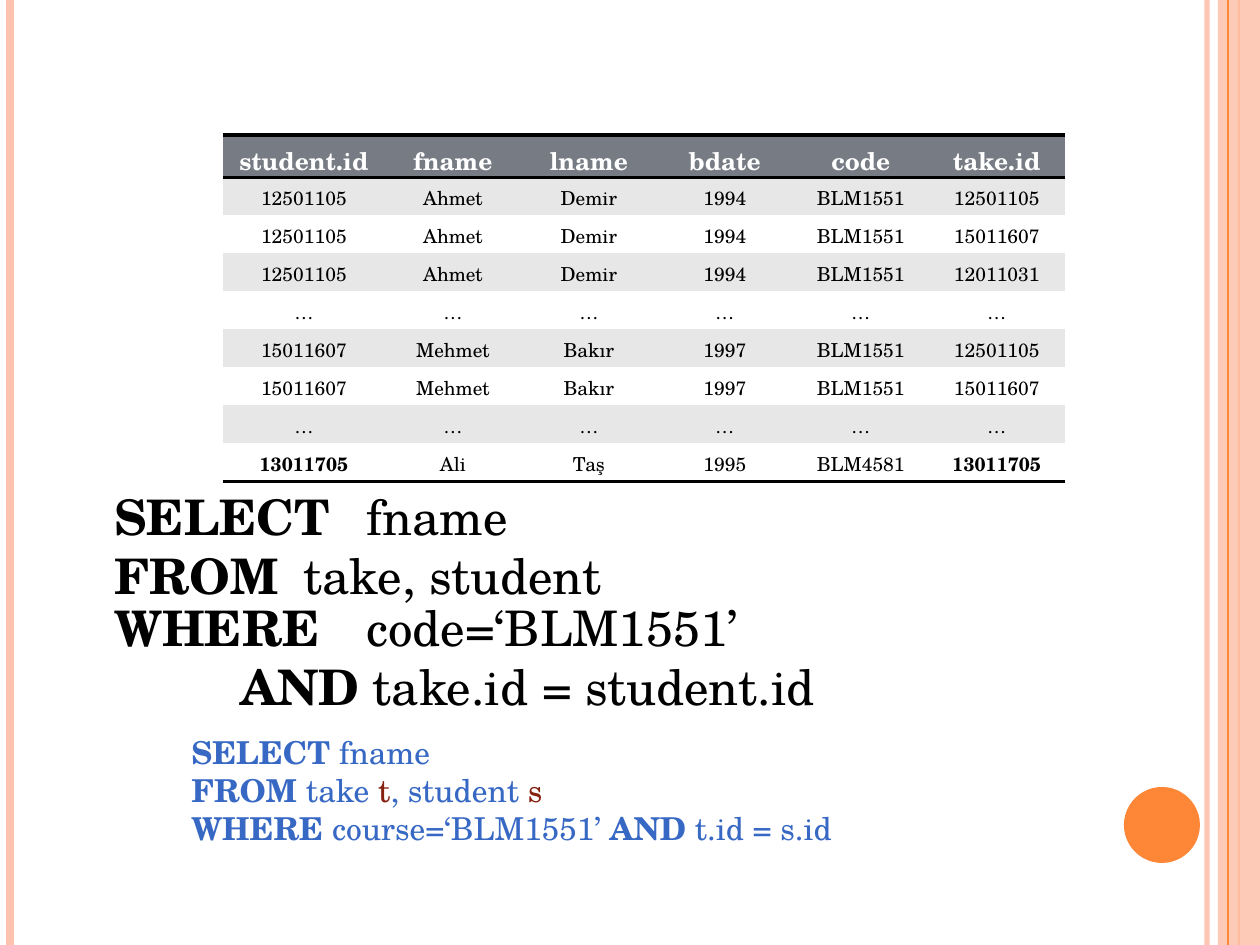
from lxml import etree
from pptx import Presentation
from pptx.dml.color import RGBColor
from pptx.enum.shapes import MSO_CONNECTOR, MSO_SHAPE
from pptx.enum.text import MSO_ANCHOR, MSO_AUTO_SIZE, PP_ALIGN
from pptx.oxml.ns import qn
from pptx.util import Emu, Pt

STRAIGHT = MSO_CONNECTOR.STRAIGHT
RECT, OVAL = MSO_SHAPE.RECTANGLE, MSO_SHAPE.OVAL
BOTTOM, CENTER = MSO_ANCHOR.BOTTOM, PP_ALIGN.CENTER
GROW = MSO_AUTO_SIZE.SHAPE_TO_FIT_TEXT

FONT = "TeX Gyre Schola"
WIDTH, HEIGHT = 1260, 945
BLACK, WHITE, PEACH, ORANGE = "000000", "FFFFFF", "FEC3AE", "FE8637"
SLATE, GREY, BLUE, MAROON = "777C84", "E7E7E7", "3668C4", "862110"

COLUMNS = [162] + [136] * 5
ROWS = [42] + [38] * 8
RESULT = [
    ["student.id", "fname", "lname", "bdate", "code", "take.id"],
    ["12501105", "Ahmet", "Demir", "1994", "BLM1551", "12501105"],
    ["12501105", "Ahmet", "Demir", "1994", "BLM1551", "15011607"],
    ["12501105", "Ahmet", "Demir", "1994", "BLM1551", "12011031"],
    ["…"] * 6,
    ["15011607", "Mehmet", "Bakır", "1997", "BLM1551", "12501105"],
    ["15011607", "Mehmet", "Bakır", "1997", "BLM1551", "15011607"],
    ["…"] * 6,
    ["13011705", "Ali", "Taş", "1995", "BLM4581", "13011705"],
]
MATCHED_ID = "13011705"

SELECT_FROM = [
    [("SELECT \t", True), ("fname", False)],
    [("FROM \t", True), ("take, student", False)],
]
WHERE = [
    [("WHERE", True), (" \tcode=‘BLM1551’", False)],
    [("\t\tAND", True), (" take.id = student.id", False)],
]
ALIASED = [
    [("SELECT ", True), ("fname", False)],
    [("FROM ", True), ("take ", False), ("t", False, MAROON),
     (", student ", False), ("s", False, MAROON)],
    [("WHERE ", True), ("course=‘BLM1551’ ", False),
     ("AND", True), (" t.id = s.id", False)],
]


def px(n):
    """Turn slide pixels into EMU."""
    return Emu(round(n * 914400 / 126))


def rgb(value):
    """Turn a hex string into a colour."""
    return RGBColor.from_string(value)


def set_alpha(fill_parent, percent):
    """Make the solid fill directly inside an element partly transparent."""
    color = fill_parent.find(qn("a:solidFill"))[0]
    etree.SubElement(color, qn("a:alpha")).set("val", str(percent * 1000))


def add_run(p, text, size=18, color=BLACK, bold=False):
    """Append a formatted run to a paragraph."""
    r = p.add_run()
    r.text = text
    r.font.name, r.font.size, r.font.bold = FONT, Pt(size), bold
    r.font.color.rgb = rgb(color)


def add_stripe(s, x, weight, color, alpha=None):
    """Draw a vertical line over the full slide height."""
    line = s.shapes.add_connector(STRAIGHT, px(x), 0, px(x), px(HEIGHT))
    line.line.color.rgb = rgb(color)
    line.line.width = Pt(weight)
    if alpha:
        set_alpha(line.line._get_or_add_ln(), alpha)
    etree.SubElement(line._element.spPr, qn("a:effectLst"))


def add_block(s, kind, x, y, w, h, color, alpha=None):
    """Draw a plain filled shape without an outline."""
    sp = s.shapes.add_shape(kind, px(x), px(y), px(w), px(h))
    sp.shadow.inherit = False
    sp.fill.solid()
    sp.fill.fore_color.rgb = rgb(color)
    sp.line.fill.background()
    if alpha:
        set_alpha(sp._element.spPr, alpha)


def add_query(s, x, y, w, h, lines, size, color=BLACK):
    """Add a text box with one paragraph per query line."""
    tf = s.shapes.add_textbox(px(x), px(y), px(w), px(h)).text_frame
    tf.word_wrap = True
    tf.auto_size = GROW
    for i, line in enumerate(lines):
        p = tf.add_paragraph() if i else tf.paragraphs[0]
        for text, bold, *accent in line:
            add_run(p, text, size=size, bold=bold,
                    color=accent[0] if accent else color)


def set_borders(cell, ruled):
    """Rule the named sides of a cell in black and clear the others."""
    tc_pr = cell._tc.get_or_add_tcPr()
    for i, side in enumerate(("lnL", "lnR", "lnT", "lnB")):
        ln = etree.Element(qn("a:" + side), w=str(Pt(2)))
        if side in ruled:
            fill = etree.SubElement(ln, qn("a:solidFill"))
            etree.SubElement(fill, qn("a:srgbClr"), val=BLACK)
        else:
            etree.SubElement(ln, qn("a:noFill"))
        tc_pr.insert(i, ln)


def add_result_table(s, x, y):
    """Add the banded join result with its three horizontal rules."""
    frame = s.shapes.add_table(len(ROWS), len(COLUMNS), px(x), px(y),
                               px(sum(COLUMNS)), px(sum(ROWS)))
    table = frame.table
    for column, w in zip(table.columns, COLUMNS):
        column.width = px(w)
    for row, h in zip(table.rows, ROWS):
        row.height = px(h)
    for i, values in enumerate(RESULT):
        header = i == 0
        band = SLATE if header else GREY if i % 2 else WHITE
        ruled = {0: ("lnT", "lnB"), 1: ("lnT",), len(RESULT) - 1: ("lnB",)}
        for j, text in enumerate(values):
            cell = table.cell(i, j)
            cell.fill.solid()
            cell.fill.fore_color.rgb = rgb(band)
            cell.vertical_anchor = BOTTOM
            set_borders(cell, ruled.get(i, ()))
            p = cell.text_frame.paragraphs[0]
            p.alignment = CENTER
            add_run(p, text, size=14 if header else 11,
                    color=WHITE if header else BLACK,
                    bold=header or text == MATCHED_ID)


def main():
    """Build the join query slide."""
    prs = Presentation()
    prs.slide_width, prs.slide_height = px(WIDTH), px(HEIGHT)
    s = prs.slides.add_slide(prs.slide_layouts[6])
    add_stripe(s, 1207, 3, PEACH, alpha=93)
    add_stripe(s, 10, 4.5, PEACH)
    add_stripe(s, 1239, 1.5, ORANGE)
    add_block(s, RECT, 1218, 0, 42, HEIGHT, PEACH, alpha=87)
    add_stripe(s, 1228, 0.75, ORANGE)
    add_block(s, OVAL, 1124, 787, 76, 76, ORANGE)
    add_query(s, 102, 480, 630, 131, SELECT_FROM, 28)
    add_result_table(s, 223, 135)
    add_query(s, 102, 591, 1155, 131, WHERE, 28)
    add_query(s, 179, 727, 883, 127, ALIASED, 18, color=BLUE)
    prs.save("out.pptx")


if __name__ == "__main__":
    main()
